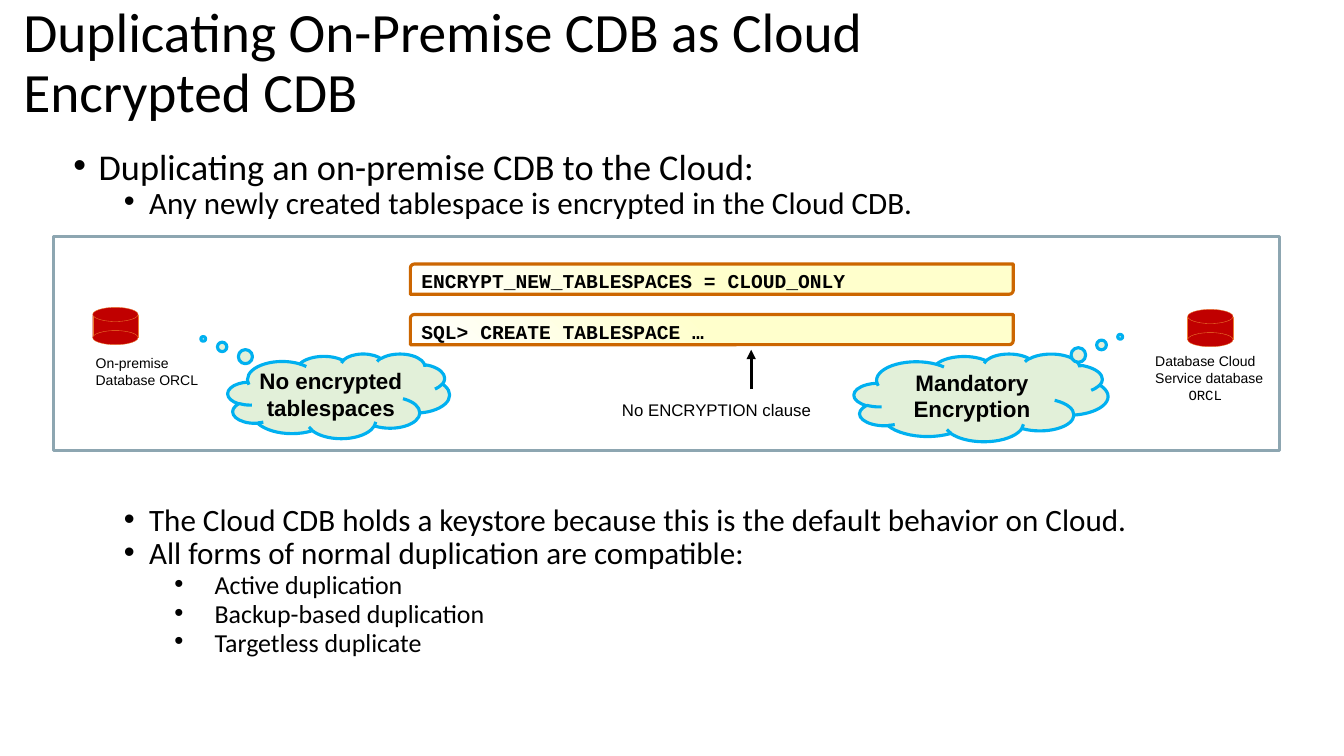
from pptx import Presentation
from pptx.dml.color import RGBColor
from pptx.enum.shapes import MSO_CONNECTOR, MSO_SHAPE
from pptx.enum.text import MSO_ANCHOR, PP_ALIGN
from pptx.oxml.ns import qn
from pptx.util import Inches, Pt
from lxml.etree import SubElement

THEME = {
    "ink": "000000", "frame": "8DA6B1", "code_edge": "CC6600",
    "code_fill": ("FFFFCC", "FFFFFF"), "cloud_fill": "E2F0D9",
    "cloud_edge": "00B0F0", "disk": "C00000", "disk_edge": "ED7D31",
    "title": ("Calibri", 39.6, False), "levels": (25.9, 22.2, 18.5),
    "code": ("Courier New", 14, True), "cloud": ("Arial", 16, True),
    "clause": ("Arial", 12, False), "label": ("Arial", 10, False),
    "service": ("Courier New", 10, False),
}

deck = Presentation()
deck.slide_width, deck.slide_height = Inches(13.33), Inches(7.5)
slide = deck.slides.add_slide(deck.slide_layouts[5])
shapes = slide.shapes


def place(*shares):
    """Turn percent shares of the slide (x, y, x, y) into lengths."""
    sides = (deck.slide_width, deck.slide_height) * 2
    return [round(side * share / 100) for side, share in zip(sides, shares)]


def write(frame, lines, frame_format=None, **paragraph_format):
    """Fill a frame with (text, (font, size, bold)) lines."""
    for name, value in (frame_format or {}).items():
        setattr(frame, name, value)
    for number, (text, (face, size, bold)) in enumerate(lines):
        paragraph = frame.paragraphs[0] if number == 0 else frame.add_paragraph()
        for name, value in paragraph_format.items():
            setattr(paragraph, name, value)
        run = paragraph.add_run()
        run.text = text
        run.font.name, run.font.size, run.font.bold = face, Pt(size), bold
        run.font.color.rgb = RGBColor.from_string(THEME["ink"])


# Title
title = shapes.title
title.left, title.top, title.width, title.height = place(0.98, 4.8, 74.4, 7.47)
write(title.text_frame, [("Duplicating On-Premise CDB as Cloud Encrypted CDB", THEME["title"])],
      {"vertical_anchor": MSO_ANCHOR.MIDDLE, "word_wrap": True},
      alignment=PP_ALIGN.LEFT, line_spacing=0.9)

# Bullets: level, space before, text; the wide gap leaves room for the diagram
bullets = [
    (0, 0, "Duplicating an on-premise CDB to the Cloud:"),
    (1, 5, "Any newly created tablespace is encrypted in the Cloud CDB."),
    (1, 208, "The Cloud CDB holds a keystore because this is the default behavior on Cloud."),
    (1, 5, "All forms of normal duplication are compatible:"),
    (2, 5, "Active duplication"),
    (2, 5, "Backup-based duplication"),
    (2, 5, "Targetless duplicate"),
]
indents = [(0.25, -0.25), (0.75, -0.25), (1.4, -0.4)]
body = shapes.add_textbox(*place(4.73, 20, 89.8, 72.67)).text_frame
write(body, [(text, ("Calibri", THEME["levels"][level], False)) for level, _, text in bullets],
      {"word_wrap": True}, line_spacing=0.7)
for paragraph, (level, gap, _) in zip(body.paragraphs, bullets):
    paragraph.level, paragraph.space_before = level, Pt(gap)
    properties = paragraph._p.get_or_add_pPr()
    for name, length in zip(("marL", "indent"), indents[level]):
        properties.set(name, str(Inches(length)))
    SubElement(properties, qn("a:buFont")).set("typeface", "Arial")
    SubElement(properties, qn("a:buChar")).set("char", "•")

painted = []  # shape, fill, line colour, line width

# Code bars
for top, code in ((34.93, "ENCRYPT_NEW_TABLESPACES = CLOUD_ONLY"),
                  (41.6, "SQL> CREATE TABLESPACE …")):
    bar = shapes.add_shape(MSO_SHAPE.ROUND_2_DIAG_RECTANGLE, *place(30.53, top, 44.86, 4))
    bar.adjustments[0], bar.adjustments[1] = 0.13, 0
    write(bar.text_frame, [(code, THEME["code"])],
          {"margin_left": Inches(0.1), "margin_top": Inches(0.04), "margin_right": Inches(0.01),
           "margin_bottom": 0, "vertical_anchor": MSO_ANCHOR.MIDDLE, "word_wrap": True},
          alignment=PP_ALIGN.LEFT)
    painted.append((bar, THEME["code_fill"], THEME["code_edge"], 2.25))

# Thought clouds
for box, tip, thought in (
        ((16.95, 46.8, 16.5, 11.2), (-0.611, -0.676), "No encrypted tablespaces"),
        ((63.54, 46.8, 18.9, 11.6), (0.548, -0.694), "Mandatory Encryption")):
    cloud = shapes.add_shape(MSO_SHAPE.CLOUD_CALLOUT, *place(*box))
    cloud.adjustments[0], cloud.adjustments[1] = tip
    write(cloud.text_frame, [(thought, THEME["cloud"])],
          {"margin_left": 0, "margin_top": 0, "margin_right": 0, "margin_bottom": 0,
           "vertical_anchor": MSO_ANCHOR.MIDDLE, "word_wrap": True},
          alignment=PP_ALIGN.CENTER)
    painted.append((cloud, THEME["cloud_fill"], THEME["cloud_edge"], 2.25))

# Database disks: a side with an ellipse at each end
for left, top in ((6.9, 41.73), (88.37, 42)):
    disk = shapes.add_group_shape()
    for kind, drop, height in ((MSO_SHAPE.RECTANGLE, 0, 2.93),
                               (MSO_SHAPE.OVAL, -1.07, 1.87),
                               (MSO_SHAPE.OVAL, 2, 1.87)):
        piece = disk.shapes.add_shape(kind, *place(left, top + drop, 3.38, height))
        painted.append((piece, THEME["disk"], THEME["disk_edge"], 0.25))

# Labels
for box, lines in (
        ((45.54, 52.27, 15.68, 4), [("No ENCRYPTION clause", THEME["clause"])]),
        ((6.38, 46.27, 9.23, 5.87),
         [("On-premise", THEME["label"]), ("Database ORCL", THEME["label"])]),
        ((85.22, 46, 9.6, 8.13),
         [("Database Cloud", THEME["label"]), ("Service database", THEME["label"]),
          ("ORCL", THEME["service"])])):
    label = shapes.add_textbox(*place(*box)).text_frame
    write(label, lines, {"word_wrap": False})
label.paragraphs[-1]._p.get_or_add_pPr().set("marL", str(Inches(0.33)))

# Arrow from the clause label up to the command
arrow = shapes.add_connector(MSO_CONNECTOR.STRAIGHT, *place(55.89, 51.47, 55.89, 46.27))
arrow.line.color.rgb = RGBColor.from_string(THEME["ink"])
arrow.line.width = Pt(2.25)
SubElement(arrow.line._get_or_add_ln(), qn("a:tailEnd")).set("type", "triangle")
SubElement(arrow._element.spPr, qn("a:effectLst"))

# Diagram frame
frame = shapes.add_shape(MSO_SHAPE.RECTANGLE, *place(3.98, 31.33, 91.22, 28.27))
painted.append((frame, None, THEME["frame"], 2.25))

# Fills and lines
for shape, fill, edge, width in painted:
    shape.shadow.inherit = False
    shape.line.color.rgb = RGBColor.from_string(edge)
    shape.line.width = Pt(width)
    if fill is None:
        shape.fill.background()
    elif isinstance(fill, tuple):
        shape.fill.gradient()
        shape.fill.gradient_angle = 225
        for stop, color, position in zip(shape.fill.gradient_stops, fill, (0.5, 1)):
            stop.color.rgb, stop.position = RGBColor.from_string(color), position
    else:
        shape.fill.solid()
        shape.fill.fore_color.rgb = RGBColor.from_string(fill)

deck.save("out.pptx")
